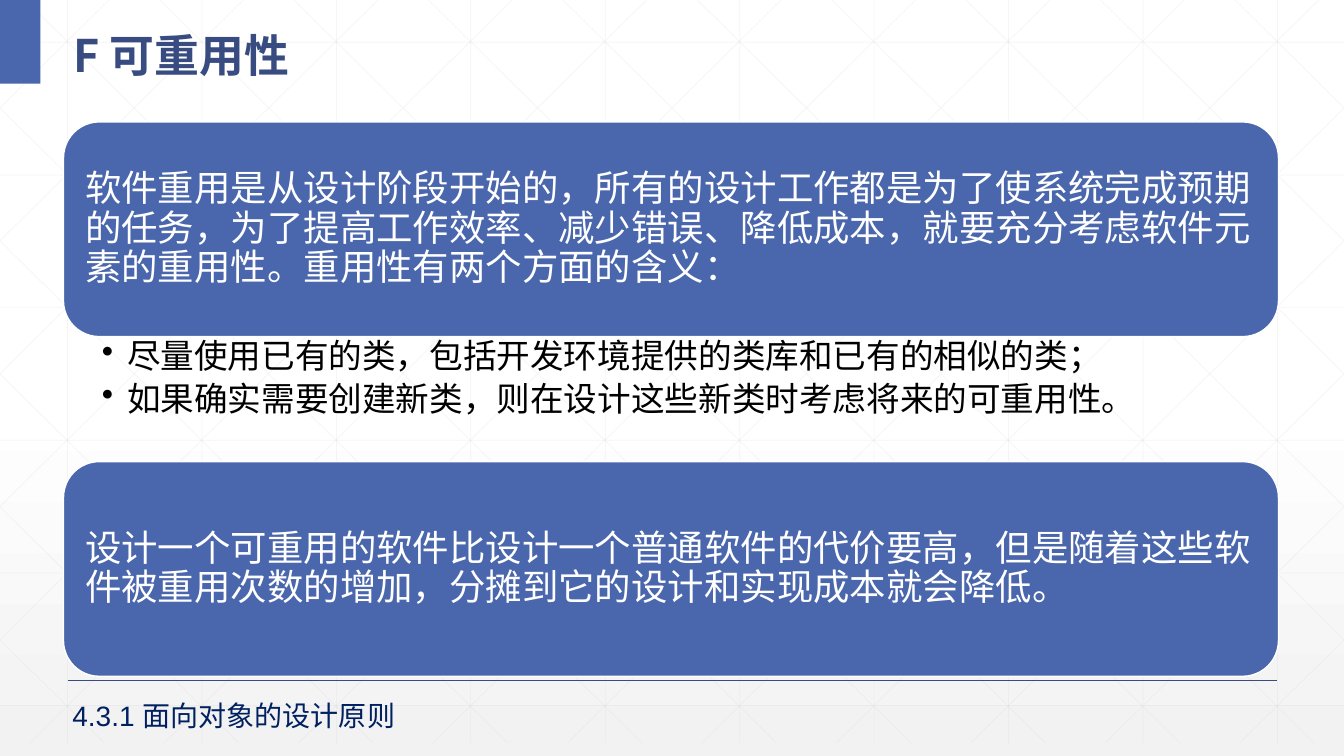
from dataclasses import dataclass

from lxml import etree
from pptx import Presentation, util as u
from pptx.dml.color import RGBColor
from pptx.enum import shapes, text
from pptx.oxml.ns import qn

WHITE = RGBColor(0xFF, 0xFF, 0xFF)
BLACK = RGBColor(0x00, 0x00, 0x00)
BLUE = RGBColor(0x4A, 0x66, 0xAC)
DARK_BLUE = RGBColor(0x38, 0x4C, 0x81)
NAVY = RGBColor(0x00, 0x20, 0x60)
GRID_GREY = RGBColor(0xD9, 0xD9, 0xD9)
PALE_GREY = RGBColor(0xF2, 0xF2, 0xF2)

WIDTH, HEIGHT = 13.33, 7.5
GRID_BOTTOM = 7.37
DIAGONAL_RUN = 7.45  # horizontal reach of a diagonal over the grid height
COLUMN_STEP, ROW_STEP = 4 / 3, 1.316


@dataclass
class Style:
    size: float
    color: RGBColor
    font: str = "Arial"
    bold: bool = False
    line_spacing: float = 1.0
    space_after: float = 0
    bullet: bool = False


@dataclass
class TextBlock:
    left: float
    top: float
    width: float
    height: float
    lines: list[str]
    style: Style
    insets: tuple[float, float, float, float] = (0.1, 0.05, 0.1, 0.05)
    anchor: text.MSO_ANCHOR = text.MSO_ANCHOR.TOP
    panel: bool = False


def add_line(page, start: tuple[float, float], end: tuple[float, float],
             color: RGBColor, weight: float, opacity: int = 100) -> None:
    line = page.shapes.add_connector(
        shapes.MSO_CONNECTOR.STRAIGHT, *(u.Inches(v) for v in start + end))
    line.line.color.rgb = color
    line.line.width = u.Pt(weight)
    properties = line._element.spPr
    if opacity < 100:
        tint = properties.find(".//" + qn("a:srgbClr"))
        etree.SubElement(tint, qn("a:alpha")).set("val", str(opacity * 1000))
    etree.SubElement(properties, qn("a:effectLst"))


def add_grid(page) -> None:
    segments = []
    for column in range(10):
        x = 0.67 + column * COLUMN_STEP
        segments.append(((x, 0), (x, GRID_BOTTOM)))
    for row in range(6):
        y = 0.42 + row * ROW_STEP
        segments.append(((0, y), (WIDTH, y)))
    # Diagonals clipped at the slide edges, each with its mirror image
    slope = GRID_BOTTOM / DIAGONAL_RUN
    for step in range(-5, 10):
        x = 0.25 + step * COLUMN_STEP
        left, right = max(x, 0), min(x + DIAGONAL_RUN, WIDTH)
        top, bottom = (left - x) * slope, (right - x) * slope
        segments.append(((left, top), (right, bottom)))
        segments.append(((WIDTH - left, top), (WIDTH - right, bottom)))
    for start, end in segments:
        add_line(page, start, end, GRID_GREY, 0.5, 25)


def add_block(page, block: TextBlock) -> None:
    place = [u.Inches(v) for v in (block.left, block.top, block.width, block.height)]
    if block.panel:
        box = add_filled(page, shapes.MSO_SHAPE.ROUNDED_RECTANGLE, place)
        box.line.color.rgb = WHITE
        box.line.width = u.Pt(1)
    else:
        box = page.shapes.add_textbox(*place)
    frame = box.text_frame
    frame.word_wrap = True
    frame.vertical_anchor = block.anchor
    (frame.margin_left, frame.margin_top,
     frame.margin_right, frame.margin_bottom) = (u.Inches(v) for v in block.insets)
    frame.text = "\n".join(block.lines)
    for para in frame.paragraphs:
        format_paragraph(para, block.style)


def add_filled(page, kind: shapes.MSO_SHAPE, place: list[u.Length]):
    box = page.shapes.add_shape(kind, *place)
    box.shadow.inherit = False
    box.fill.solid()
    box.fill.fore_color.rgb = BLUE
    box.line.fill.background()
    return box


def format_paragraph(para, style: Style) -> None:
    if style.bullet:
        para.level = 1
        properties = para._p.get_or_add_pPr()
        properties.set("marL", str(u.Inches(0.25)))
        properties.set("indent", str(u.Inches(-0.25)))
        etree.SubElement(properties, qn("a:buChar")).set("char", "•")
    para.alignment = text.PP_ALIGN.LEFT
    para.line_spacing = style.line_spacing
    para.space_after = u.Pt(style.space_after)
    for span in para.runs:
        span.font.size = u.Pt(style.size)
        span.font.bold = style.bold
        span.font.color.rgb = style.color
        span.font.name = style.font
        east_asian = etree.SubElement(span._r.get_or_add_rPr(), qn("a:ea"))
        east_asian.set("typeface", style.font)


TITLE = Style(32, DARK_BLUE, "Noto Sans CJK SC", bold=True, line_spacing=1.3)
PANEL = Style(26, WHITE, line_spacing=0.9)
POINTS = Style(24, BLACK, line_spacing=0.9, space_after=4.8, bullet=True)
FOOTER = Style(20, NAVY)
PANEL_INSETS = (0.11,) * 4
MIDDLE = text.MSO_ANCHOR.MIDDLE

BLOCKS = [
    TextBlock(0.63, 0.1, 12.42, 0.73, ["F 可重用性"], TITLE, anchor=MIDDLE),
    TextBlock(0.63, 1.21, 12.05, 2.13, [
        "软件重用是从设计阶段开始的，所有的设计工作都是为了使系统完成预期的任务，"
        "为了提高工作效率、减少错误、降低成本，就要充分考虑软件元素的重用性。"
        "重用性有两个方面的含义："], PANEL, PANEL_INSETS, MIDDLE, panel=True),
    TextBlock(0.63, 3.34, 12.05, 1.24, [
        "尽量使用已有的类，包括开发环境提供的类库和已有的相似的类；",
        "如果确实需要创建新类，则在设计这些新类时考虑将来的可重用性。",
    ], POINTS, (0.38, 0.03, 0.19, 0.03)),
    TextBlock(0.63, 4.58, 12.05, 2.13, [
        "设计一个可重用的软件比设计一个普通软件的代价要高，但是随着这些软件被重用"
        "次数的增加，分摊到它的设计和实现成本就会降低。"],
        PANEL, PANEL_INSETS, MIDDLE, panel=True),
    TextBlock(0.62, 6.88, 6.04, 0.44, ["4.3.1 面向对象的设计原则"], FOOTER),
]


def main() -> None:
    deck = Presentation()
    deck.slide_width, deck.slide_height = u.Inches(WIDTH), u.Inches(HEIGHT)
    page = deck.slides.add_slide(deck.slide_layouts[6])

    # Background: white fading to pale grey at the bottom
    fill = page.background.fill
    fill.gradient()
    fill.gradient_angle = 270
    for stop, position, color in zip(
            fill.gradient_stops, (0.53, 1), (WHITE, PALE_GREY)):
        stop.position = position
        stop.color.rgb = color

    # Grid, footer rule and corner mark
    add_grid(page)
    add_line(page, (0.67, 6.75), (12.67, 6.75), DARK_BLUE, 1)
    add_filled(page, shapes.MSO_SHAPE.RECTANGLE,
               [u.Inches(v) for v in (0, 0, 0.4, 0.83)])

    # Title, panels, points and footer
    for block in BLOCKS:
        add_block(page, block)
    deck.save("out.pptx")


if __name__ == "__main__":
    main()
